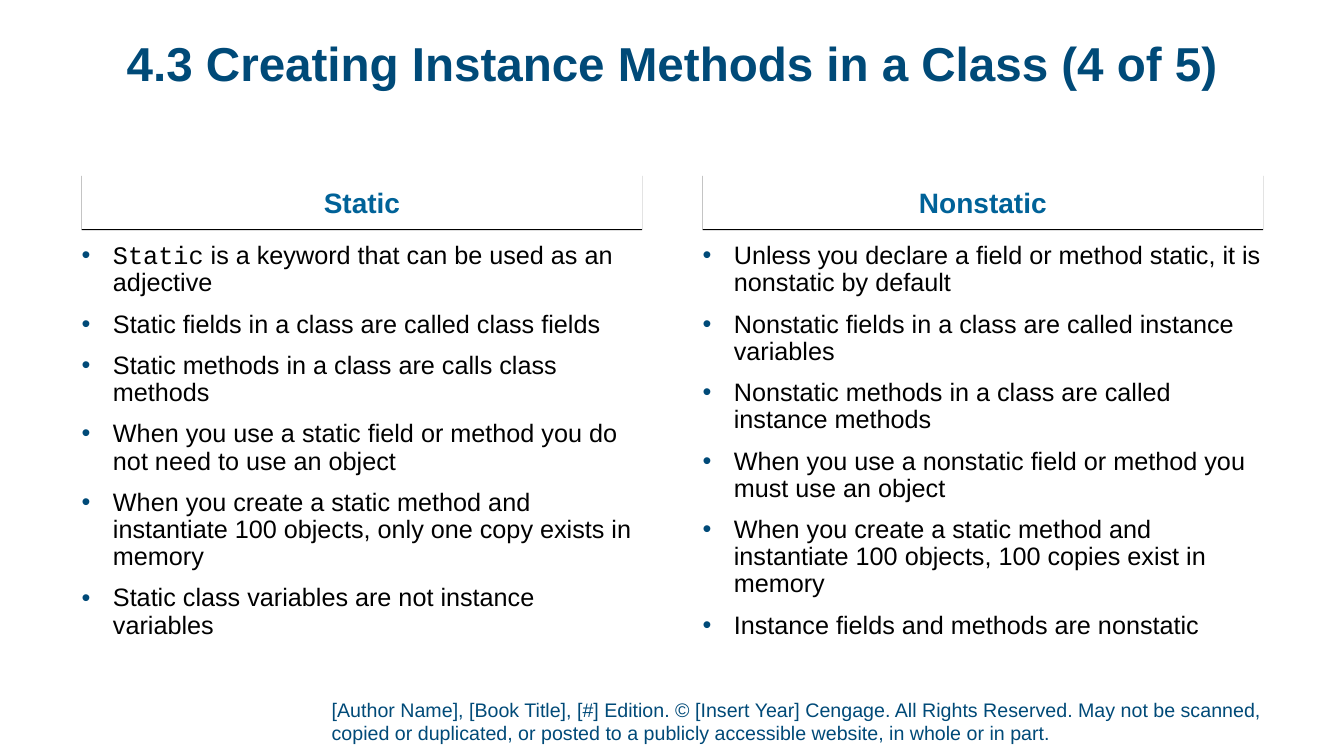
from lxml.etree import SubElement
from pptx import Presentation
from pptx.dml.color import RGBColor
from pptx.enum.shapes import MSO_SHAPE
from pptx.enum.text import MSO_ANCHOR, PP_ALIGN
from pptx.oxml.ns import qn
from pptx.util import Inches, Pt

NAVY, BLUE, BLACK, WHITE = "004A78", "006298", "000000", "FFFFFF"
MARGIN, COLUMN_WIDTH, GUTTER = 6.08, 41.7, 4.5

TITLE = "4.3 Creating Instance Methods in a Class (4 of 5)"
FOOTER = (
    "[Author Name], [Book Title], [#] Edition. © [Insert Year] Cengage. "
    "All Rights Reserved. May not be scanned, copied or duplicated, or posted "
    "to a publicly accessible website, in whole or in part."
)
# Text between backticks is set as code.
COLUMNS = {
    "Static": [
        "`Static` is a keyword that can be used as an adjective",
        "Static fields in a class are called class fields",
        "Static methods in a class are calls class methods",
        "When you use a static field or method you do not need to use an object",
        "When you create a static method and instantiate 100 objects, "
        "only one copy exists in memory",
        "Static class variables are not instance variables",
    ],
    "Nonstatic": [
        "Unless you declare a field or method static, it is nonstatic by default",
        "Nonstatic fields in a class are called instance variables",
        "Nonstatic methods in a class are called instance methods",
        "When you use a nonstatic field or method you must use an object",
        "When you create a static method and instantiate 100 objects, "
        "100 copies exist in memory",
        "Instance fields and methods are nonstatic",
    ],
}


def color(hex_value):
    return RGBColor.from_string(hex_value)


class SlideBuilder:
    """Holds the style and the slide; boxes are percentages of the slide's size."""

    font_name, code_font = "Arial", "Courier New"

    def __init__(self, presentation):
        self.width = presentation.slide_width
        self.height = presentation.slide_height
        self.slide = presentation.slides.add_slide(presentation.slide_layouts[6])

    def place(self, left, top, width, height):
        return [
            round(share * side / 100)
            for share, side in zip(
                (left, top, width, height),
                (self.width, self.height, self.width, self.height),
            )
        ]

    def prepare_frame(self, shape, anchor=MSO_ANCHOR.TOP, above=0, below=0):
        frame = shape.text_frame
        frame.word_wrap = True
        frame.vertical_anchor = anchor
        frame.margin_left = frame.margin_right = 0
        frame.margin_top, frame.margin_bottom = Inches(above), Inches(below)
        return frame

    def style(self, paragraph, size, hex_value, bold=False):
        font = paragraph.font
        font.name, font.size, font.bold = self.font_name, Pt(size), bold
        font.color.rgb = color(hex_value)

    def text(self, box, wording, size, bold=False, align=PP_ALIGN.LEFT,
             spacing=1.0, anchor=MSO_ANCHOR.TOP, below=0):
        shape = self.slide.shapes.add_textbox(*self.place(*box))
        paragraph = self.prepare_frame(shape, anchor, below=below).paragraphs[0]
        paragraph.text = wording
        paragraph.alignment = align
        paragraph.line_spacing = spacing
        self.style(paragraph, size, NAVY, bold)

    def heading(self, box, wording):
        shape = self.slide.shapes.add_shape(MSO_SHAPE.RECTANGLE, *self.place(*box))
        shape.fill.solid()
        shape.fill.fore_color.rgb = color(WHITE)
        shape.line.fill.background()
        self.underline_with_shadow(shape)
        frame = self.prepare_frame(shape, MSO_ANCHOR.BOTTOM, 0.1, 0.1)
        paragraph = frame.paragraphs[0]
        paragraph.text = wording
        paragraph.alignment = PP_ALIGN.CENTER
        self.style(paragraph, 20, BLUE, bold=True)

    def underline_with_shadow(self, shape):
        """Drop a hard one-point shadow straight down."""
        shape.shadow.inherit = False
        effects = shape._element.spPr.find(qn("a:effectLst"))
        shadow = SubElement(effects, qn("a:outerShdw"), blurRad="0",
                            dist=str(Pt(1)), dir="5400000", algn="t",
                            rotWithShape="0")
        SubElement(shadow, qn("a:srgbClr"), val=BLACK)

    def add_bullet(self, paragraph):
        properties = paragraph._p.get_or_add_pPr()
        indent = Inches(0.31)
        properties.set("marL", str(indent))
        properties.set("indent", str(-indent))
        bullet_color = SubElement(properties, qn("a:buClr"))
        SubElement(bullet_color, qn("a:srgbClr"), val=NAVY)
        SubElement(properties, qn("a:buFont"), typeface=self.font_name)
        SubElement(properties, qn("a:buChar"), char="•")

    def bullets(self, box, items):
        shape = self.slide.shapes.add_textbox(*self.place(*box))
        frame = self.prepare_frame(shape)
        for index, item in enumerate(items):
            paragraph = frame.add_paragraph() if index else frame.paragraphs[0]
            self.add_bullet(paragraph)
            paragraph.line_spacing = 0.9
            paragraph.space_before = Pt(10 if index else 0)
            self.style(paragraph, 18, BLACK)
            for part, wording in enumerate(item.split("`")):
                if wording:
                    run = paragraph.add_run()
                    run.text = wording
                    if part % 2:
                        run.font.name = self.code_font


def main():
    presentation = Presentation()
    presentation.slide_width = Inches(13.33)
    presentation.slide_height = Inches(7.5)
    builder = SlideBuilder(presentation)

    builder.text((24.68, 92.27, 73.44, 6.93), FOOTER, 14,
                 anchor=MSO_ANCHOR.BOTTOM, below=0.05)
    builder.text((6.9, 5.33, 86.27, 9.87), TITLE, 34, bold=True,
                 align=PP_ALIGN.CENTER, spacing=0.9)
    for index, (heading, items) in enumerate(COLUMNS.items()):
        left = MARGIN + index * (COLUMN_WIDTH + GUTTER)
        builder.heading((left, 23.07, COLUMN_WIDTH, 7.2), heading)
        builder.bullets((left, 32.13, COLUMN_WIDTH, 57.6), items)

    presentation.save("out.pptx")


if __name__ == "__main__":
    main()
